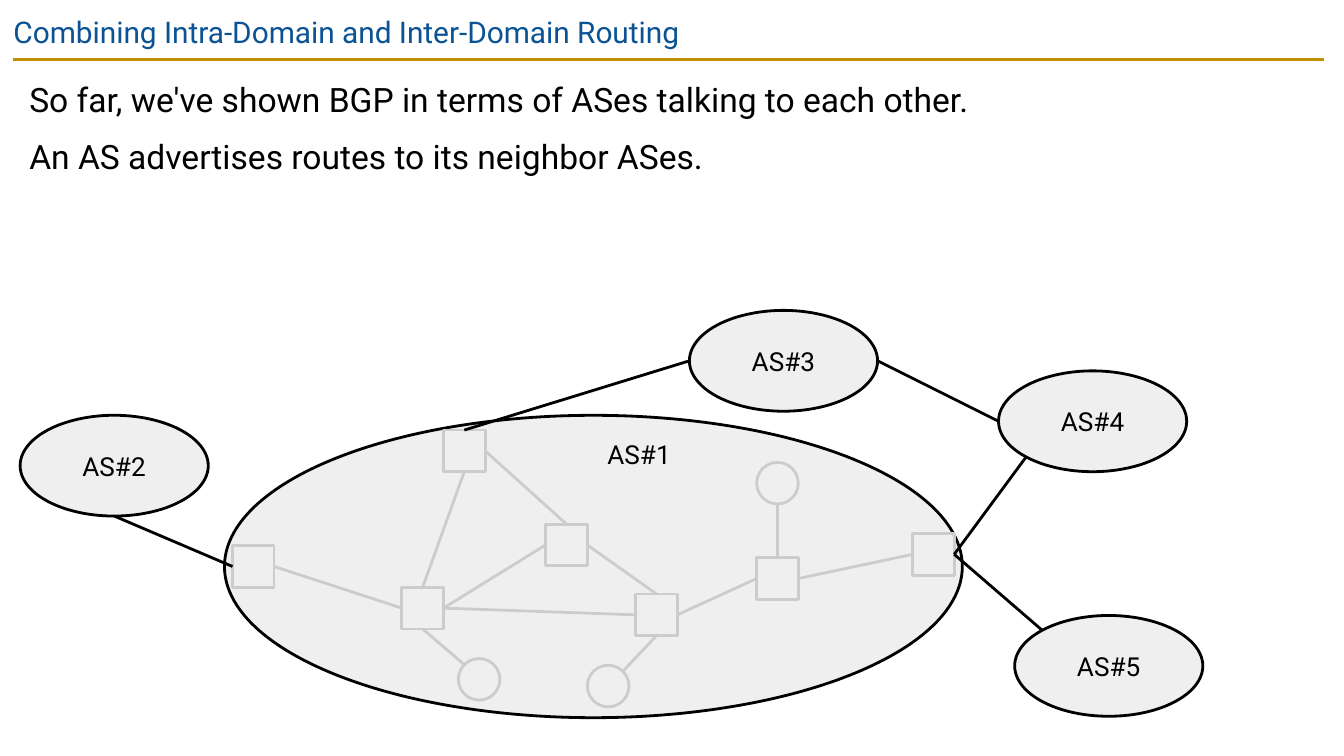
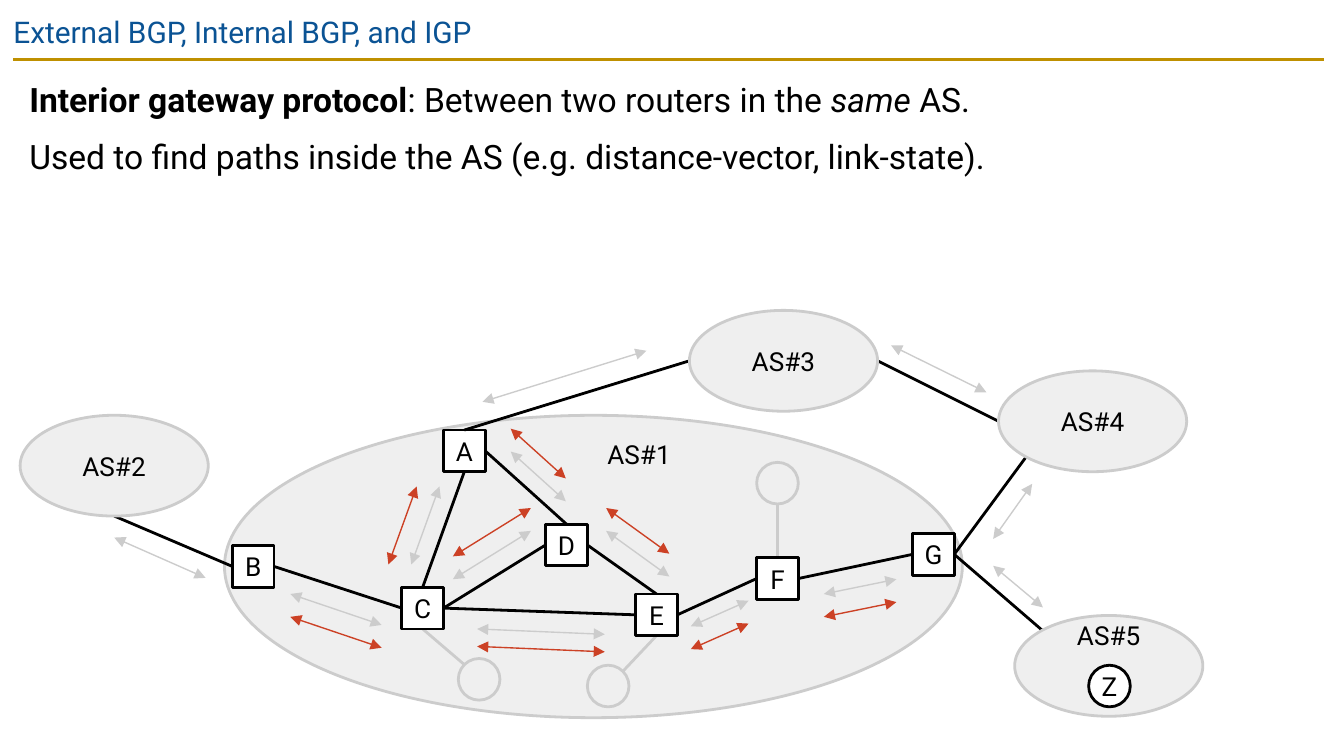
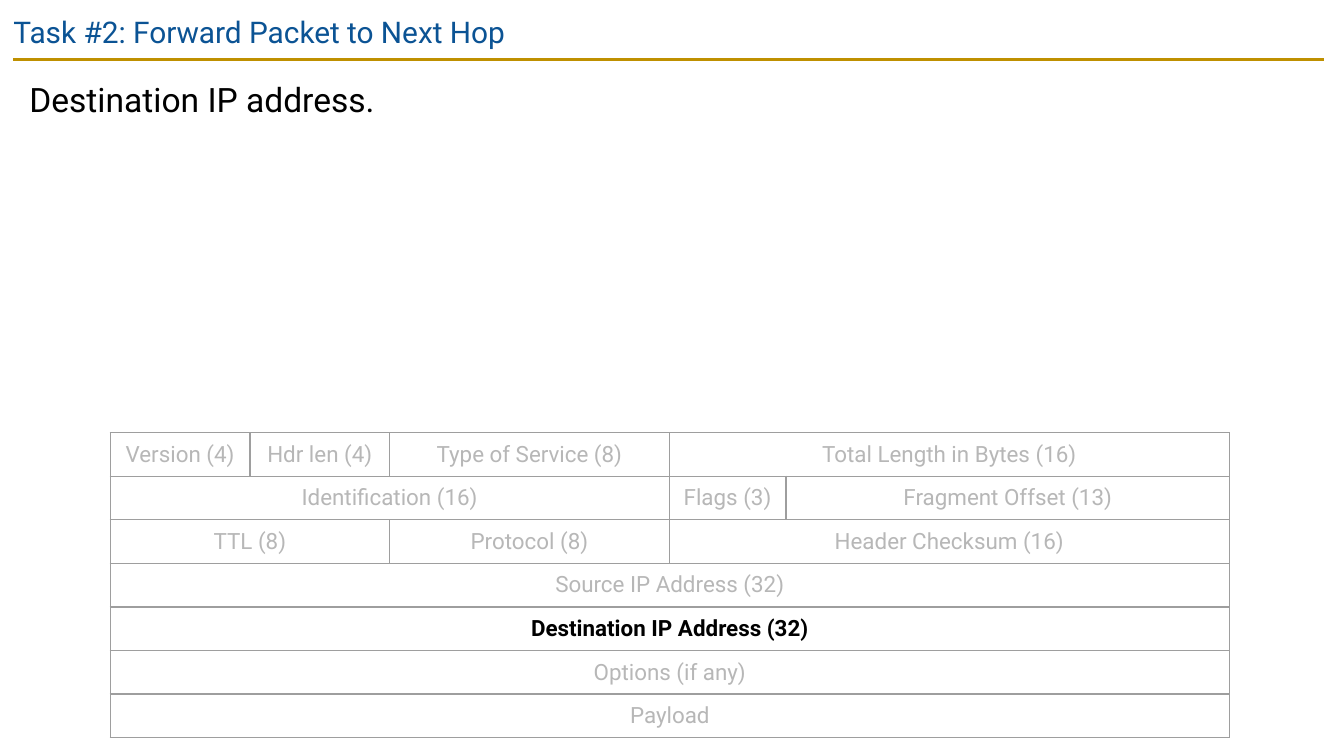
import dataclasses
import typing

import pptx
import pptx.dml.color
import pptx.enum.shapes
import pptx.enum.text
import pptx.oxml
import pptx.oxml.ns
import pptx.util

Inches = pptx.util.Inches
Kind = pptx.enum.shapes.MSO_SHAPE
Align = pptx.enum.text.PP_ALIGN
Anchor = pptx.enum.text.MSO_ANCHOR

FONT = "Roboto"
BLACK, WHITE = "000000", "FFFFFF"
BLUE, GOLD, RED = "0B5394", "BF9000", "CC4125"
PALE, GRAY = "EFEFEF", "CCCCCC"
DIM, EDGE = "B7B7B7", "9E9E9E"
DIAG = 0.5 ** 0.5
SIDES = {"l": (-1, 0), "r": (1, 0), "t": (0, -1), "b": (0, 1),
         "nw": (-DIAG, -DIAG), "ne": (DIAG, -DIAG), "sw": (-DIAG, DIAG)}


@dataclasses.dataclass(frozen=True)
class Run:
    text: str
    bold: bool = False
    italic: bool = False


@dataclasses.dataclass(frozen=True)
class Node:
    left: float
    top: float
    width: float = 0.31
    height: float = 0.31
    kind: typing.Any = Kind.OVAL

    def point(self, side: str) -> tuple[float, float]:
        """Place on the outline where a link on this side ends."""
        dx, dy = SIDES[side]
        return (self.left + self.width * (1 + dx) / 2,
                self.top + self.height * (1 + dy) / 2)


class Link(typing.NamedTuple):
    start: str
    side: str
    end: str
    edge: str


class Track(typing.NamedTuple):
    """A message arrow, and the shift to its red twin."""
    start: tuple[float, float]
    end: tuple[float, float]
    shift: tuple[float, float] = (0, 0)


class Field(typing.NamedTuple):
    text: str
    span: int
    bold: bool = False


def router(left: float, top: float) -> Node:
    return Node(left, top, kind=Kind.RECTANGLE)


def domain(left: float, top: float) -> Node:
    return Node(left, top, 1.4, 0.75)


ROUTERS = {"A": router(3.3, 3.2), "B": router(1.73, 4.06),
           "C": router(2.99, 4.37), "D": router(4.06, 3.9),
           "E": router(4.73, 4.42), "F": router(5.63, 4.15),
           "G": router(6.79, 3.97)}
HOSTS = {"left": Node(3.41, 4.9), "mid": Node(4.37, 4.95),
         "top": Node(5.63, 3.44)}
DOMAINS = {"AS#2": domain(0.15, 3.09), "AS#3": domain(5.13, 2.31),
           "AS#4": domain(7.43, 2.76), "AS#5": domain(7.55, 4.58)}
NODES = ROUTERS | HOSTS | DOMAINS
HOME = Node(1.67, 3.09, 5.49, 2.25)
GUEST = Node(8.1, 4.95)

INNER = [Link("B", "r", "C", "l"), Link("C", "r", "D", "l"),
         Link("C", "t", "A", "b"), Link("A", "r", "D", "t"),
         Link("C", "r", "E", "l"), Link("E", "t", "D", "r"),
         Link("E", "r", "F", "l"), Link("F", "r", "G", "l")]
DROPS = [Link("C", "b", "left", "nw"), Link("mid", "ne", "E", "b"),
         Link("F", "t", "top", "b")]
OUTER = [Link("AS#5", "nw", "G", "r"), Link("AS#4", "sw", "G", "r"),
         Link("AS#4", "l", "AS#3", "r"), Link("AS#3", "l", "A", "t"),
         Link("AS#2", "b", "B", "l")]

UP, DOWN = (0, -0.17), (0, 0.17)
INSIDE = [Track((2.16, 4.42), (2.84, 4.65), DOWN),
          Track((3.55, 4.68), (4.5, 4.72), (0, 0.13)),
          Track((5.14, 4.66), (5.57, 4.47), DOWN),
          Track((6.13, 4.42), (6.67, 4.31), DOWN),
          Track((4.98, 4.29), (4.51, 3.95), UP),
          Track((3.37, 4.31), (3.95, 3.95), UP),
          Track((3.06, 4.2), (3.27, 3.62), (-0.17, 0)),
          Track((3.8, 3.36), (4.21, 3.73), UP)]
BETWEEN = [Track((0.85, 4), (1.53, 4.3)), Track((4.81, 2.61), (3.59, 2.99)),
           Track((7.34, 2.92), (6.63, 2.57)), Track((7.68, 3.6), (7.39, 4.01)),
           Track((7.76, 4.52), (7.39, 4.21))]

COLS = [1.04, 1.04, 1.04, 1.04, 0.87, 1.22, 1.04, 1.04]
HEADER = [
    [Field("Version (4)", 1), Field("Hdr len (4)", 1),
     Field("Type of Service (8)", 2), Field("Total Length in Bytes (16)", 4)],
    [Field("Identification (16)", 4), Field("Flags (3)", 1),
     Field("Fragment Offset (13)", 3)],
    [Field("TTL (8)", 2), Field("Protocol (8)", 2),
     Field("Header Checksum (16)", 4)],
    [Field("Source IP Address (32)", 8)],
    [Field("Destination IP Address (32)", 8, True)],
    [Field("Options (if any)", 8)],
    [Field("Payload", 8)],
]


def color(code: str) -> pptx.dml.color.RGBColor:
    return pptx.dml.color.RGBColor.from_string(code)


def write(frame, *paras: list[Run], size: float = 14, ink: str = BLACK,
          align=Align.CENTER, anchor=Anchor.MIDDLE, pad: float = 0.1,
          foot: float | None = None, lead: float | None = None,
          gap: float = 0) -> None:
    """Fill a text frame; foot is a bottom inset other than pad."""
    frame.word_wrap = True
    frame.auto_size = pptx.enum.text.MSO_AUTO_SIZE.NONE
    frame.vertical_anchor = anchor
    frame.margin_left = frame.margin_right = frame.margin_top = Inches(pad)
    frame.margin_bottom = Inches(pad if foot is None else foot)
    for i, runs in enumerate(paras):
        para = frame.add_paragraph() if i else frame.paragraphs[0]
        para.alignment = align
        if lead:
            para.line_spacing = lead
        if i:
            para.space_before = pptx.util.Pt(gap)
        for part in runs:
            run = para.add_run()
            run.text = part.text
            font = run.font
            font.name, font.size = FONT, pptx.util.Pt(size)
            font.bold, font.italic = part.bold, part.italic
            font.color.rgb = color(ink)


def label(slide, box: tuple[float, ...], *paras: list[Run], **style) -> None:
    area = slide.shapes.add_textbox(*map(Inches, box))
    write(area.text_frame, *paras, **style)


def draw(slide, node: Node, line: str, fill: str | None = None,
         text: str = "", **style) -> None:
    shape = slide.shapes.add_shape(node.kind, *map(
        Inches, (node.left, node.top, node.width, node.height)))
    shape.shadow.inherit = False
    if fill:
        shape.fill.solid()
        shape.fill.fore_color.rgb = color(fill)
    else:
        shape.fill.background()
    shape.line.color.rgb = color(line)
    shape.line.width = pptx.util.Pt(1.5)
    if text:
        write(shape.text_frame, [Run(text)], **style)


def stroke(slide, start: tuple[float, float], end: tuple[float, float],
           ink: str, width: float = 1.5, heads: bool = False) -> None:
    line = slide.shapes.add_connector(
        pptx.enum.shapes.MSO_CONNECTOR.STRAIGHT, *map(Inches, start + end))
    line.line.color.rgb = color(ink)
    line.line.width = pptx.util.Pt(width)
    props = line._element.spPr
    if heads:
        ln = props.find(pptx.oxml.ns.qn("a:ln"))
        for tag in ("a:headEnd", "a:tailEnd"):
            tip = pptx.oxml.ns.qn(tag)
            ln.append(ln.makeelement(tip, {"type": "triangle"}))
    props.append(props.makeelement(pptx.oxml.ns.qn("a:effectLst"), {}))


def join(slide, links: list[Link], ink: str) -> None:
    for link in links:
        stroke(slide, NODES[link.start].point(link.side),
               NODES[link.end].point(link.edge), ink)


def arrows(slide, tracks: list[Track], ink: str, twin: bool = False) -> None:
    for track in tracks:
        dx, dy = track.shift if twin else (0, 0)
        start, end = ((x + dx, y + dy) for x, y in (track.start, track.end))
        stroke(slide, start, end, ink, 0.75, heads=True)


def begin(deck, title: str, *body: list[Run]):
    """Add a slide with its title, rule and body text."""
    slide = deck.slides.add_slide(deck.slide_layouts[5])
    stroke(slide, (0.1, 0.44), (9.85, 0.44), GOLD)
    head = slide.shapes.title
    head.left, head.top = Inches(0), Inches(0)
    head.width, head.height = Inches(9.32), Inches(0.43)
    write(head.text_frame, [Run(title)], size=16, ink=BLUE,
          align=Align.LEFT, anchor=Anchor.TOP)
    label(slide, (0.12, 0.44, 9.74, 1.4), *body, size=18, align=Align.LEFT,
          anchor=Anchor.TOP, lead=1.15, gap=6)
    return slide


def network(slide, detail: bool) -> None:
    """Draw the domains; detail brings out the routers in AS#1."""
    rim, inner = (GRAY, BLACK) if detail else (BLACK, GRAY)
    draw(slide, HOME, rim, PALE)
    join(slide, INNER, inner)
    join(slide, DROPS, GRAY)
    for name, node in ROUTERS.items():
        draw(slide, node, inner, WHITE if detail else None,
             name if detail else "", pad=0)
    join(slide, OUTER, BLACK)
    for node in HOSTS.values():
        draw(slide, node, GRAY)
    for name, node in DOMAINS.items():
        raised = detail and name == "AS#5"
        style = {"pad": 0, "foot": 0.46} if raised else {}
        draw(slide, node, rim, PALE, name, **style)
    label(slide, (4.3, 3.16, 0.91, 0.44), [Run("AS#1")], anchor=Anchor.TOP)


def border(cell) -> None:
    props = cell._tc.get_or_add_tcPr()
    space = pptx.oxml.ns.nsdecls("a")
    for i, side in enumerate("LRTB"):
        props.insert(i, pptx.oxml.parse_xml(
            f'<a:ln{side} {space} w="9525"><a:solidFill>'
            f'<a:srgbClr val="{EDGE}"/></a:solidFill></a:ln{side}>'))


def packet(slide) -> None:
    """Draw the IP header as a table."""
    table = slide.shapes.add_table(
        len(HEADER), len(COLS), Inches(0.82), Inches(3.22),
        Inches(sum(COLS)), Inches(2.27)).table
    table.first_row = table.horz_banding = False
    for col, width in zip(table.columns, COLS):
        col.width = Inches(width)
    for cell in table.iter_cells():
        cell.fill.background()
        border(cell)
    for r, fields in enumerate(HEADER):
        c = 0
        for field in fields:
            cell = table.cell(r, c)
            c += field.span
            if field.span > 1:
                cell.merge(table.cell(r, c - 1))
            write(cell.text_frame, [Run(field.text, field.bold)], size=12,
                  ink=BLACK if field.bold else DIM)
            cell.vertical_anchor = Anchor.MIDDLE
            cell.margin_left = cell.margin_right = Inches(0.03)
            cell.margin_top = cell.margin_bottom = Inches(0.03)


def main() -> None:
    deck = pptx.Presentation()
    deck.slide_width = Inches(10)
    deck.slide_height = deck.slide_width * 9 // 16

    slide = begin(
        deck, "Combining Intra-Domain and Inter-Domain Routing",
        [Run("So far, we've shown BGP in terms of ASes talking to each other.")],
        [Run("An AS advertises routes to its neighbor ASes.")])
    network(slide, detail=False)

    slide = begin(
        deck, "External BGP, Internal BGP, and IGP",
        [Run("Interior gateway protocol", bold=True),
         Run(": Between two routers in the "), Run("same ", italic=True),
         Run("AS.")],
        [Run("Used to find paths inside the AS "
             "(e.g. distance-vector, link-state).")])
    network(slide, detail=True)
    arrows(slide, INSIDE + BETWEEN, GRAY)
    arrows(slide, INSIDE, RED, twin=True)
    draw(slide, GUEST, BLACK, WHITE, "Z", pad=0)

    slide = begin(deck, "Task #2: Forward Packet to Next Hop",
                  [Run("Destination IP address.")])
    packet(slide)
    deck.save("out.pptx")


if __name__ == "__main__":
    main()
